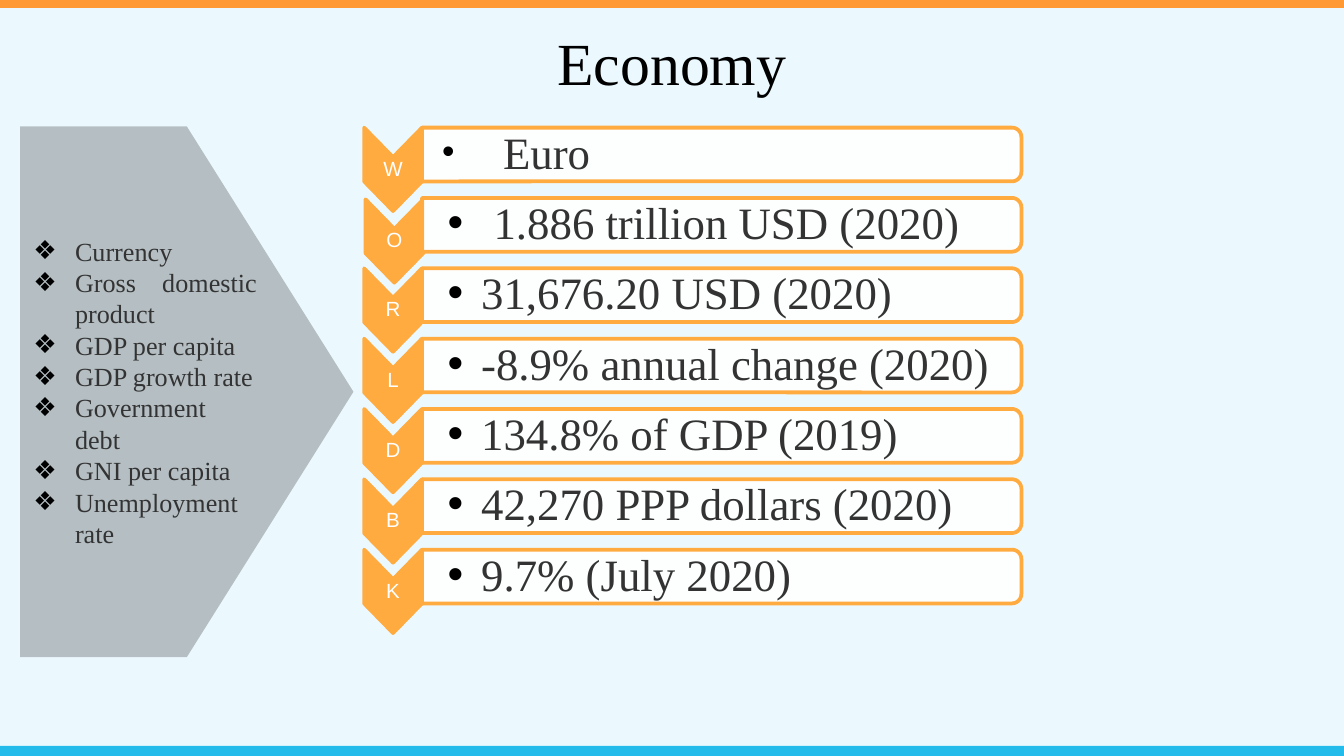
from math import cos, pi, sin

from lxml.etree import SubElement
from pptx import Presentation
from pptx.dml.color import RGBColor
from pptx.enum.shapes import MSO_SHAPE
from pptx.enum.text import MSO_ANCHOR, PP_ALIGN
from pptx.oxml.ns import qn
from pptx.util import Inches, Pt

SERIF, SANS = "Times New Roman", "Arial"
ORANGE, WHITE, BLACK, GREY = "FFAB40", "FFFFFF", "000000", "333333"
TOPICS = ["Currency", "Gross domestic product", "GDP per capita", "GDP growth rate",
          "Government debt", "GNI per capita", "Unemployment rate"]
ROWS = [
    ("W", [(" ", 19, SANS, BLACK), ("Euro", 24, SERIF, GREY)]),
    ("O", [(" ", 24, SANS, BLACK), ("1.886 trillion USD (2020)", 24, SERIF, GREY)]),
    ("R", [("31,676.20 USD (2020)", 24, SERIF, GREY)]),
    ("L", [("-8.9% annual change (2020)", 24, SERIF, GREY)]),
    ("D", [("134.8% of GDP (2019)", 24, SERIF, GREY)]),
    ("B", [("42,270 PPP dollars (2020)", 24, SERIF, GREY)]),
    ("K", [("9.7% (July 2020)", 24, SERIF, GREY)]),
]
FIRST_TOP, LAST_TOP = 0.95, 4.09
CHEVRON_LEFT, BAR_LEFT, BAR_RIGHT = 2.71, 3.14, 7.6
BAR_HEIGHT, CHEVRON_DEPTH, CORNER = 0.4, 0.22, 0.07


def color(value):
    """Turn a hex string into a colour."""
    return RGBColor.from_string(value)


def paint(shape, fill, opacity=100, outline=None):
    """Give a shape its fill, opacity and outline."""
    shape.shadow.inherit = False
    shape.fill.solid()
    shape.fill.fore_color.rgb = color(fill)
    if opacity < 100:
        tint = shape.fill._xPr.find(qn("a:solidFill"))[0]
        SubElement(tint, qn("a:alpha"), val=str(opacity * 1000))
    if outline:
        shape.line.color.rgb = color(outline)
        shape.line.width = Pt(2)
    else:
        shape.line.fill.background()


def set_frame(shape, insets=(0.1, 0.05, 0.1, 0.05), anchor=MSO_ANCHOR.MIDDLE):
    """Wrap and anchor a shape's text and return its frame."""
    frame = shape.text_frame
    frame.word_wrap = True
    frame.vertical_anchor = anchor
    (frame.margin_left, frame.margin_top,
     frame.margin_right, frame.margin_bottom) = map(Inches, insets)
    return frame


def write(paragraph, pieces, align, spacing=None):
    """Fill a paragraph with formatted runs."""
    paragraph.alignment = align
    paragraph.line_spacing = spacing
    for text, size, font, tone in pieces:
        run = paragraph.add_run()
        run.text = text
        run.font.size = Pt(size)
        run.font.name = font
        run.font.color.rgb = color(tone)


def add_bullet(paragraph, symbol, indent):
    """Put a black hanging bullet on a paragraph."""
    properties = paragraph._p.get_or_add_pPr()
    properties.set("marL", str(Inches(indent)))
    properties.set("indent", str(-Inches(indent)))
    tint = SubElement(properties, qn("a:buClr"))
    SubElement(tint, qn("a:srgbClr"), val=BLACK)
    SubElement(properties, qn("a:buFont"), typeface=SANS)
    SubElement(properties, qn("a:buChar"), char=symbol)


def add_band(slide, top, height, fill):
    """Draw a full-width band."""
    band = slide.shapes.add_shape(
        MSO_SHAPE.RECTANGLE, 0, Inches(top), Inches(10), Inches(height))
    paint(band, fill)


def add_outline(slide, points):
    """Draw a closed outline through points given in inches."""
    start, *rest = [(Inches(x), Inches(y)) for x, y in points]
    builder = slide.shapes.build_freeform(*start)
    builder.add_line_segments(rest, close=True)
    return builder.convert_to_shape()


def add_title(slide):
    """Write the slide's heading."""
    title = slide.shapes.add_textbox(Inches(2.5), Inches(0.14), Inches(5), Inches(1.18))
    frame = set_frame(title, anchor=MSO_ANCHOR.TOP)
    write(frame.paragraphs[0], [("Economy", 32, SERIF, BLACK)], PP_ALIGN.CENTER)


def add_topics(slide):
    """Draw the pentagon that lists the topics."""
    pentagon = slide.shapes.add_shape(
        MSO_SHAPE.PENTAGON, Inches(0.15), Inches(0.94), Inches(2.48), Inches(3.95))
    paint(pentagon, "2C2C2C", 28)
    frame = set_frame(pentagon)
    for index, topic in enumerate(TOPICS):
        paragraph = frame.add_paragraph() if index else frame.paragraphs[0]
        add_bullet(paragraph, "❖", 0.31)
        write(paragraph, [(topic, 14, SERIF, GREY)], PP_ALIGN.JUSTIFY)


def add_chevron(slide, left, top, letter):
    """Draw a downward chevron with its letter."""
    right = left + BAR_LEFT - CHEVRON_LEFT
    middle, shoulder = (left + right) / 2, top + BAR_HEIGHT
    chevron = add_outline(slide, [
        (right, top), (right, shoulder), (middle, shoulder + CHEVRON_DEPTH),
        (left, shoulder), (left, top), (middle, top + CHEVRON_DEPTH)])
    paint(chevron, ORANGE, outline=ORANGE)
    frame = set_frame(chevron, (0.01, 0.22, 0.01, 0.22))
    write(frame.paragraphs[0], [(letter, 11, SANS, WHITE)], PP_ALIGN.CENTER, 0.9)


def add_bar(slide, top, pieces, inset, margin, indent):
    """Draw a bar with rounded right corners and its bulleted value."""
    bottom, bend = top + BAR_HEIGHT, BAR_RIGHT - CORNER
    angles = [step * pi / 16 for step in range(9)]
    upper = [(bend + CORNER * sin(a), top + CORNER * (1 - cos(a))) for a in angles]
    lower = [(x, top + bottom - y) for x, y in reversed(upper)]
    bar = add_outline(slide, [(BAR_LEFT, top), *upper, *lower, (BAR_LEFT, bottom)])
    paint(bar, WHITE, 90, ORANGE)
    frame = set_frame(bar, (inset, margin, margin, margin))
    add_bullet(frame.paragraphs[0], "•", indent)
    write(frame.paragraphs[0], pieces, PP_ALIGN.LEFT, 0.9)


def main():
    """Build the slide and save it."""
    deck = Presentation()
    deck.slide_width = Inches(10)
    deck.slide_height = deck.slide_width * 9 // 16
    slide = deck.slides.add_slide(deck.slide_layouts[6])
    slide.background.fill.solid()
    slide.background.fill.fore_color.rgb = color("EBF9FE")
    add_band(slide, 5.55, 0.09, "22BBEA")
    add_band(slide, 0, 0.06, "FF9933")
    add_title(slide)
    add_topics(slide)
    pitch = (LAST_TOP - FIRST_TOP) / (len(ROWS) - 1)
    for index, (letter, pieces) in enumerate(ROWS):
        top = FIRST_TOP + index * pitch
        nudge = 0.01 if letter == "O" else 0
        add_chevron(slide, CHEVRON_LEFT + nudge, top + nudge, letter)
        layout = (0.15, 0.03, 0.38) if index == 0 else (0.19, 0.04, 0.25)
        add_bar(slide, top, pieces, *layout)
    deck.save("out.pptx")


if __name__ == "__main__":
    main()
